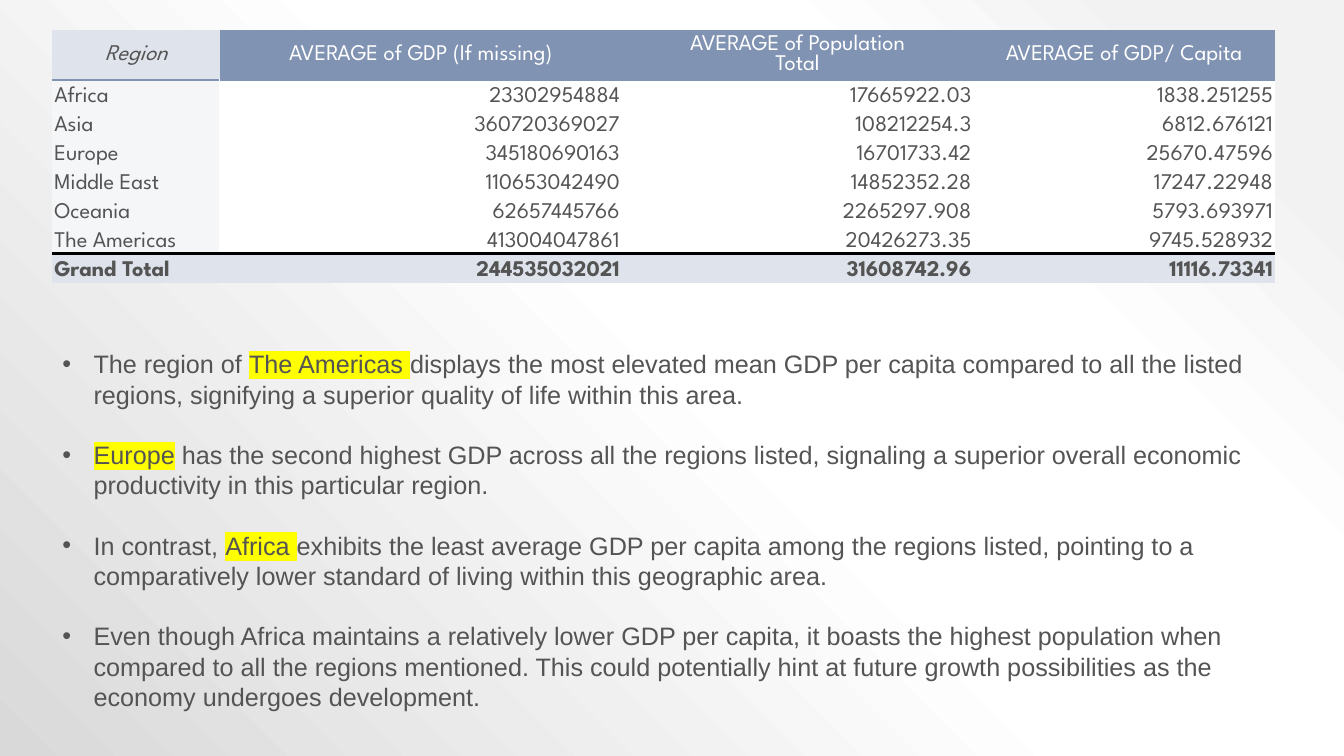
"""Builds a slide comparing regional GDP averages in a table with four findings."""
from pptx import Presentation, oxml, util as u
from pptx.dml.color import RGBColor
from pptx.enum import text
from pptx.oxml import ns

HEADINGS = ["Region", "AVERAGE of GDP (If missing)",
            "AVERAGE of Population\vTotal", "AVERAGE of GDP/ Capita"]
REGIONS = [
    ["Africa", "23302954884", "17665922.03", "1838.251255"],
    ["Asia", "360720369027", "108212254.3", "6812.676121"],
    ["Europe", "345180690163", "16701733.42", "25670.47596"],
    ["Middle East", "110653042490", "14852352.28", "17247.22948"],
    ["Oceania", "62657445766", "2265297.908", "5793.693971"],
    ["The Americas", "413004047861", "20426273.35", "9745.528932"],
]
GRAND_TOTAL = ["Grand Total", "244535032021", "31608742.96", "11116.73341"]
FINDINGS = [
    ("The region of ", "The Americas ",
     "displays the most elevated mean GDP per capita compared to all the listed regions, "
     "signifying a superior quality of life within this area."),
    ("", "Europe",
     " has the second highest GDP across all the regions listed, signaling a superior "
     "overall economic productivity in this particular region."),
    ("In contrast, ", "Africa ",
     "exhibits the least average GDP per capita among the regions listed, pointing to a "
     "comparatively lower standard of living within this geographic area."),
    ("Even though Africa maintains a relatively lower GDP per capita, it boasts the highest "
     "population when compared to all the regions mentioned. This could potentially hint at "
     "future growth possibilities as the economy undergoes development.", "", ""),
]


def color(hex_code):
    return RGBColor.from_string(hex_code)


def drawing(tag, content="", attributes=""):
    return oxml.parse_xml(f'<a:{tag} {ns.nsdecls("a")} {attributes}>{content}</a:{tag}>')


def solid(hex_code):
    return f'<a:solidFill><a:srgbClr val="{hex_code}"/></a:solidFill>'


class RegionSlide:
    INK, WHITE, BLUE, PALE, TINT = "545454", "FFFFFF", "8093B3", "DFE4EC", "F4F6F8"
    BLACK, MARKER = "000000", "FFFF00"
    TABLE_FONT, BODY_FONT = "League Spartan", "Arial"
    LEFT, WIDTH = u.Cm(1.32), u.Cm(30.81)

    def __init__(self, deck):
        self.slide = deck.slides.add_slide(deck.slide_layouts[6])

    def background(self, stops):
        self.slide.background.fill.solid()
        properties = self.slide.element.find(".//" + ns.qn("p:bgPr"))
        marks = "".join(f'<a:gs pos="{place * 1000}"><a:srgbClr val="{shade}"/></a:gs>'
                        for place, shade in stops)
        focus = '<a:path path="circle"><a:fillToRect l="100000" b="100000"/></a:path>'
        properties.replace(properties[0],
                           drawing("gradFill", f"<a:gsLst>{marks}</a:gsLst>{focus}"))

    def style_run(self, run, font, size, shade, marker=None):
        run.font.size = u.Pt(size)
        run.font.color.rgb = color(shade)
        if marker:
            run.font.fill
            run.font.color.rgb = color(shade)
            run._r.get_or_add_rPr().append(
                drawing("highlight", f'<a:srgbClr val="{marker}"/>'))
        run.font.name = font

    def borders(self, cell, sides):
        properties = cell._tc.get_or_add_tcPr()
        for index, side in enumerate("LRTB"):
            shade, points = sides.get(side, (None, 0))
            line = solid(shade) if shade else "<a:noFill/>"
            properties.insert(index, drawing(f"ln{side}", line, f'w="{u.Pt(points)}"'))

    def cell(self, cell, wording, fill, shade, align, header, total, italic):
        cell.text = wording
        cell.margin_left = cell.margin_right = u.Cm(0.05)
        cell.margin_top = cell.margin_bottom = u.Cm(0.03)
        cell.vertical_anchor = (text.MSO_ANCHOR.MIDDLE if header
                                else text.MSO_ANCHOR.BOTTOM)
        cell.fill.solid()
        cell.fill.fore_color.rgb = color(fill)
        paragraph = cell.text_frame.paragraphs[0]
        paragraph.alignment = align
        for run in paragraph.runs:
            self.style_run(run, self.TABLE_FONT, 16, shade)
            run.font.bold = total
            run.font.italic = italic

    def table(self, top, widths, header_height, row_height):
        rows = [HEADINGS, *REGIONS, GRAND_TOTAL]
        last = len(rows) - 1
        grid = self.slide.shapes.add_table(
            len(rows), len(widths), self.LEFT, top, self.WIDTH,
            header_height + last * row_height).table
        grid.first_row = grid.horz_banding = False
        for column, width in zip(grid.columns, widths):
            column.width = width
        for r, row in enumerate(rows):
            grid.rows[r].height = row_height if r else header_height
            header, total = r == 0, r == last
            for c, wording in enumerate(row):
                label = c == 0
                if header:
                    fill = self.PALE if label else self.BLUE
                    align = text.PP_ALIGN.CENTER
                else:
                    fill = self.PALE if total else self.TINT if label else self.WHITE
                    align = text.PP_ALIGN.LEFT if label else text.PP_ALIGN.RIGHT
                shade = self.WHITE if header and not label else self.INK
                cell = grid.cell(r, c)
                self.cell(cell, wording, fill, shade, align, header, total,
                          header and label)
                rules = {0: {"B": self.BLUE}, 1: {"T": self.BLUE},
                         last - 1: {"B": self.BLACK}, last: {"T": self.BLACK}}
                sides = {side: (hue, 1.8) for side, hue in rules.get(r, {}).items()}
                if not header and not total and c < 2:
                    sides["R" if label else "L"] = (self.WHITE, 0.6)
                self.borders(cell, sides)

    def bullets(self, top, height, findings):
        frame = self.slide.shapes.add_textbox(self.LEFT, top, self.WIDTH, height).text_frame
        frame.word_wrap = True
        frame.auto_size = text.MSO_AUTO_SIZE.SHAPE_TO_FIT_TEXT
        for index, (opening, marked, closing) in enumerate(findings):
            paragraph = frame.add_paragraph() if index else frame.paragraphs[0]
            paragraph.line_spacing = u.Pt(21.6)
            if index:
                paragraph.space_before = u.Pt(21.6)
            properties = paragraph._p.get_or_add_pPr()
            properties.set("marL", str(u.Cm(0.79)))
            properties.set("indent", str(-u.Cm(0.79)))
            properties.append(drawing("buFont", attributes=f'typeface="{self.BODY_FONT}"'))
            properties.append(drawing("buChar", attributes='char="•"'))
            for wording, marker in ((opening, None), (marked, self.MARKER), (closing, None)):
                if wording:
                    run = paragraph.add_run()
                    run.text = wording
                    self.style_run(run, self.BODY_FONT, 18, self.INK, marker)


def main():
    deck = Presentation()
    deck.slide_width, deck.slide_height = u.Cm(33.87), u.Cm(19.05)
    page = RegionSlide(deck)
    page.background([(10, "F2F2F2"), (28, "FFFFFF"), (48, "FFFFFF"), (100, "D9D9D9")])
    page.table(u.Cm(0.76), [u.Cm(w) for w in (4.22, 10.13, 8.86, 7.6)],
               u.Cm(1.25), u.Cm(0.73))
    page.bullets(u.Cm(8.66), u.Cm(9.5), FINDINGS)
    deck.save("out.pptx")


if __name__ == "__main__":
    main()
